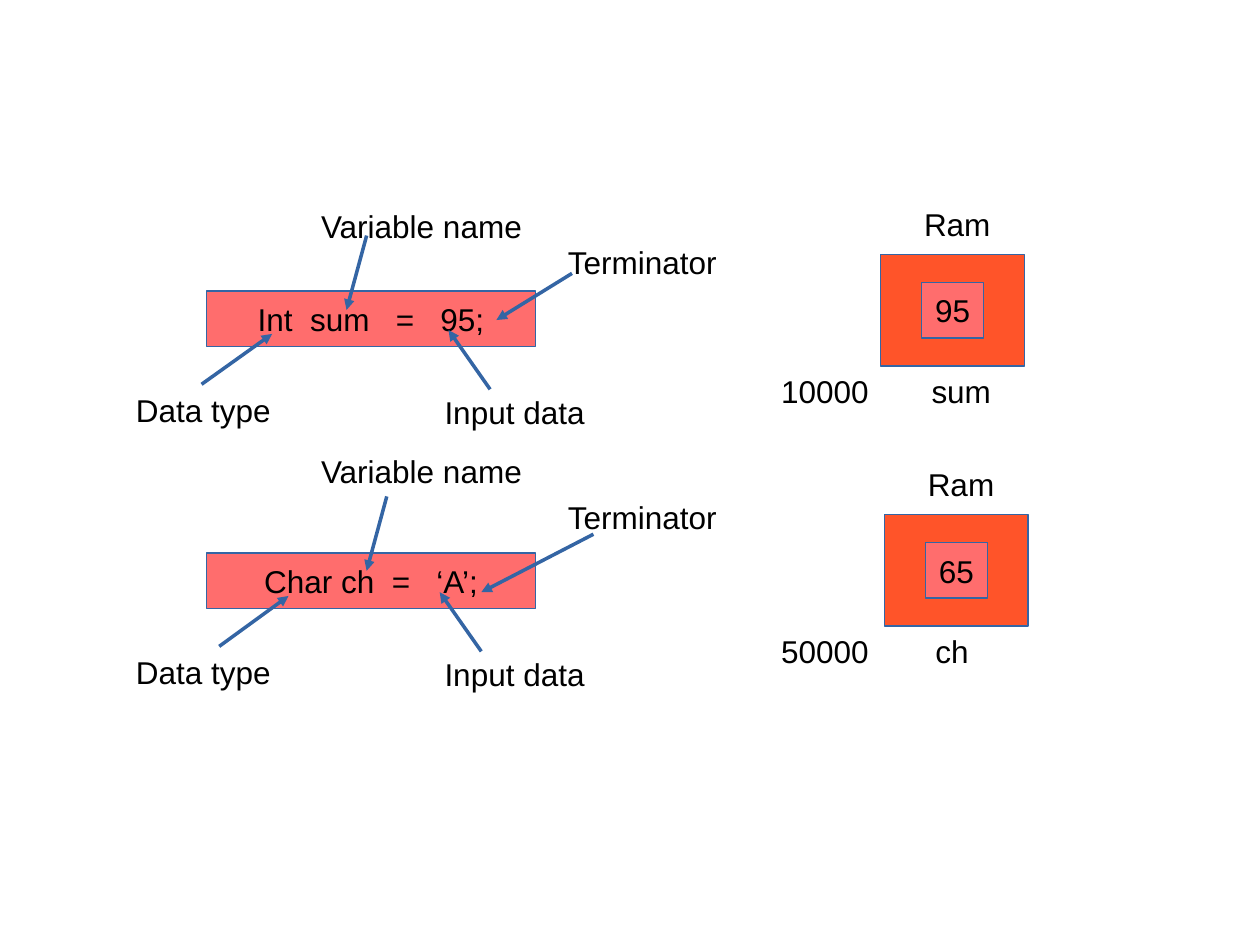
from lxml import etree
from pptx import Presentation
from pptx.dml.color import RGBColor
from pptx.enum.shapes import MSO_CONNECTOR, MSO_SHAPE
from pptx.enum.text import MSO_ANCHOR, PP_ALIGN
from pptx.oxml.ns import qn
from pptx.util import Inches, Pt

RECT, STRAIGHT = MSO_SHAPE.RECTANGLE, MSO_CONNECTOR.STRAIGHT
TOP, MIDDLE = MSO_ANCHOR.TOP, MSO_ANCHOR.MIDDLE
LEFT, CENTER = PP_ALIGN.LEFT, PP_ALIGN.CENTER
COLORS = {"pink": "FF6D6D", "orange": "FF5429", "line": "3465A4", "text": "000000"}
COLUMNS, ROWS = 100, 75
LABEL_W, LABEL_H = 19, 5.8


def color(name):
    """Return the named colour."""
    return RGBColor.from_string(COLORS[name])


def grid(*cells):
    """Convert grid columns and rows, each a tenth of an inch, to lengths."""
    return [Inches(c / 10) for c in cells]


def write(sp, text, size=18, font="Arial", align=LEFT, anchor=TOP, wrap=True):
    """Put one formatted line of text in a shape."""
    tf = sp.text_frame
    tf.word_wrap, tf.vertical_anchor = wrap, anchor
    p = tf.paragraphs[0]
    p.alignment = align
    r = p.add_run()
    r.text = text
    r.font.size, r.font.name = Pt(size), font
    r.font.color.rgb = color("text")


def add_label(s, text, x, y, w=LABEL_W):
    """Add a left-aligned label."""
    write(s.shapes.add_textbox(*grid(x, y, w, LABEL_H)), text)


def add_box(s, box, fill, text=None):
    """Add a filled rectangle with an optional centred text."""
    sp = s.shapes.add_shape(RECT, *grid(*box))
    sp.shadow.inherit = False
    sp.fill.solid()
    sp.fill.fore_color.rgb = color(fill)
    sp.line.color.rgb = color("line")
    sp.line.width = Pt(0)
    if text:
        write(sp, text, align=CENTER, anchor=MIDDLE, wrap=False)


def add_arrow(s, x1, y1, x2, y2):
    """Add a hairline arrow that points at its second end."""
    c = s.shapes.add_connector(STRAIGHT, *grid(x1, y1, x2, y2))
    c.line.color.rgb = color("line")
    c.line.width = Pt(0)
    etree.SubElement(c.line._get_or_add_ln(), qn("a:tailEnd"), type="triangle")
    etree.SubElement(c._element.spPr, qn("a:effectLst"))


def add_statement(s, box, code, callouts):
    """Draw a declaration with labels and arrows placed from its corner."""
    x, y = box[:2]
    add_box(s, box, "pink", code)
    for text, (dx, dy), (x1, y1, x2, y2) in callouts:
        add_label(s, text, x + dx, y + dy)
        add_arrow(s, x + x1, y + y1, x + x2, y + y2)


def add_ram(s, box, value, name, address, address_x):
    """Draw a memory cell with its value, variable name and address."""
    x, y, w, h = box
    cell_w, cell_h = 4.9, 4.4
    add_box(s, box, "orange")
    add_box(s, (x + (w - cell_w) / 2, y + (h - cell_h) / 2, cell_w, cell_h), "pink", value)
    add_label(s, "Ram", x + 2.45, y - 4.45, 8.2)
    add_label(s, name, x + 3.05, y + h, w)
    add_label(s, address, address_x, y + h, 9.1)


def main():
    """Build the slide."""
    prs = Presentation()
    prs.slide_width, prs.slide_height = grid(COLUMNS, ROWS)
    s = prs.slides.add_slide(prs.slide_layouts[6])
    add_statement(s, (16.4, 23.1, 26.1, 4.4), "Int  sum   =   95;", [
        ("Data type", (-6.6, 7.4), (-0.4, 7.4, 5.2, 3.4)),
        ("Input data", (17.9, 7.6), (22.5, 7.8, 19.2, 3.1)),
        ("Terminator", (27.7, -4.3), (29, -1.4, 23, 2.3)),
        ("Variable name", (8.1, -7.2), (12.7, -4.4, 11.1, 1.5)),
    ])
    add_statement(s, (16.4, 43.9, 26.1, 4.4), "Char ch  =   ‘A’;", [
        ("Data type", (-6.6, 7.4), (1, 7.4, 6.5, 3.4)),
        ("Input data", (17.9, 7.6), (21.8, 7.8, 18.5, 3.1)),
        ("Terminator", (27.7, -4.9), (30.7, -1.5, 21.8, 3.1)),
        ("Variable name", (8.1, -8.5), (14.3, -4.5, 12.7, 1.4)),
    ])
    add_ram(s, (69.9, 20.2, 11.4, 8.85), "95", "sum", "10000", 61)
    add_ram(s, (70.2, 40.85, 11.4, 8.85), "65", "ch", "50000", 61)
    prs.save("out.pptx")


if __name__ == "__main__":
    main()
